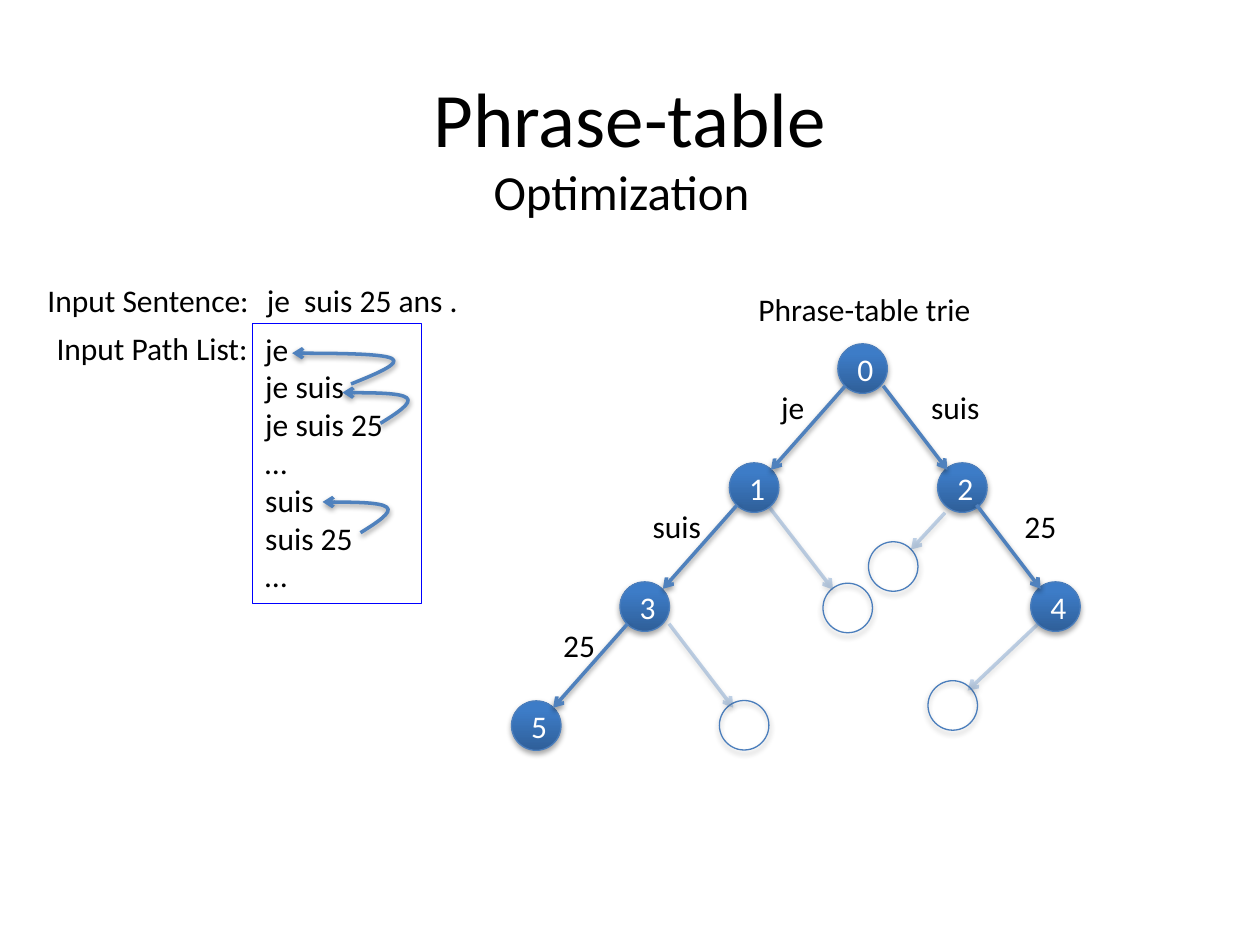
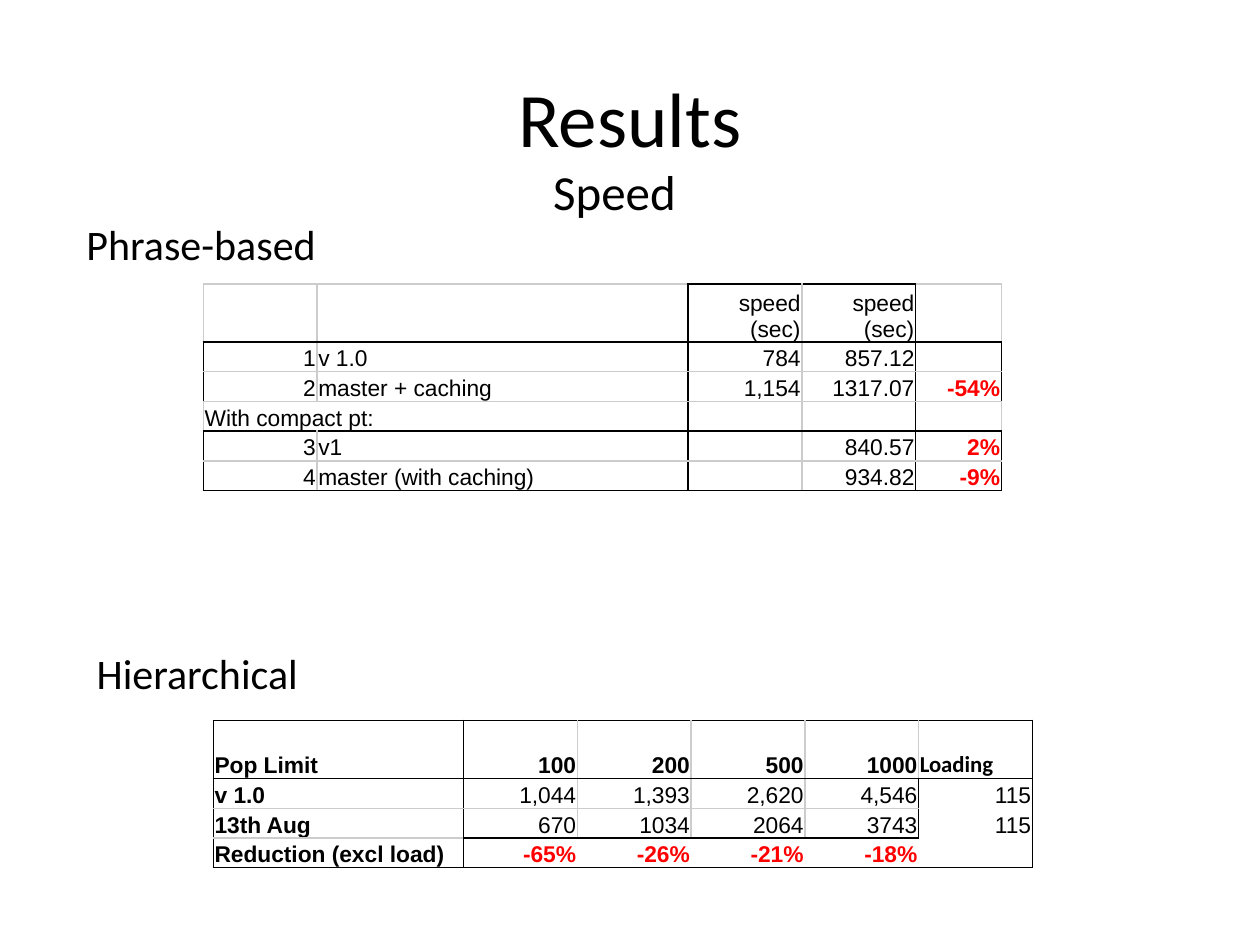
from lxml.etree import SubElement
from pptx import Presentation
from pptx.dml.color import RGBColor
from pptx.enum.shapes import MSO_CONNECTOR, MSO_SHAPE
from pptx.enum.text import MSO_ANCHOR, MSO_AUTO_SIZE, PP_ALIGN
from pptx.oxml.ns import qn
from pptx.util import Pt

COLORS = {
    "text": "000000", "white": "FFFFFF", "red": "FF0000", "grid": "CCCCCC",
    "frame": "0000FF", "arrow": "4F81BD", "node_line": "4B7EBC",
    "node_dark": "2F5F99", "node_light": "3D7CC7",
}
BODY_FONT = "Calibri"
TABLE_FONT = "Arial"
NODE_SIZE = 28.3
LEVEL_HEIGHT = 68
TITLE_ONLY = 5

# Widths of the edge labels in the trie
EDGE_LABEL_WIDTHS = {"je": 28.5, "suis": 42.5, "25": 33.5}

# Horizontal and vertical table rules: K black, G grey, - none
RULE_COLORS = {"K": "text", "G": "grid"}

# Unit outline of a back-pointing curve: a start and two Bézier segments
CURVE = [(0.58, 1), (0.83, 0.67), (1.08, 0.33), (0.98, 0.17), (0.88, 0), (0, 0), (0, 0)]


def color(name):
    return RGBColor.from_string(COLORS[name])


def format_paragraph(paragraph, size, name="text", font=BODY_FONT, bold=False,
                     align=PP_ALIGN.LEFT):
    paragraph.alignment = align
    paragraph.font.size = Pt(size)
    paragraph.font.name = font
    paragraph.font.bold = bold
    paragraph.font.color.rgb = color(name)


def add_label(slide, text, left, top, width, size=18):
    height = size * 1.2 + 7.2
    box = slide.shapes.add_textbox(Pt(left), Pt(top), Pt(width), Pt(height))
    frame = box.text_frame
    frame.word_wrap = False
    frame.auto_size = MSO_AUTO_SIZE.SHAPE_TO_FIT_TEXT
    frame.text = text
    format_paragraph(frame.paragraphs[0], size)


def add_shadow(shape, distance, opacity):
    effects = SubElement(shape._element.spPr, qn("a:effectLst"))
    shadow = SubElement(effects, qn("a:outerShdw"), blurRad=str(Pt(3.15)),
                        dist=str(Pt(distance)), dir="5400000", rotWithShape="0")
    black = SubElement(shadow, qn("a:srgbClr"), val=COLORS["text"])
    SubElement(black, qn("a:alpha"), val=str(opacity * 1000))


def style_arrow(shape, faint=False):
    shape.line.color.rgb = color("arrow")
    shape.line.width = Pt(2)
    line = shape._element.spPr.find(qn("a:ln"))
    if faint:
        line_color = line.find(".//" + qn("a:srgbClr"))
        SubElement(line_color, qn("a:alpha"), val="34000")
    SubElement(line, qn("a:tailEnd"), type="arrow")
    add_shadow(shape, 1.57, 38)


def add_titled_slide(presentation, title, subtitle, subtitle_left, subtitle_width):
    slide = presentation.slides.add_slide(presentation.slide_layouts[TITLE_ONLY])
    shape = slide.shapes.title
    shape.left, shape.top, shape.width, shape.height = Pt(36), Pt(21.6), Pt(648), Pt(90)
    shape.text_frame.text = title
    shape.text_frame.vertical_anchor = MSO_ANCHOR.MIDDLE
    format_paragraph(shape.text_frame.paragraphs[0], 44, align=PP_ALIGN.CENTER)
    add_label(slide, subtitle, subtitle_left, 88.6, subtitle_width, 28)
    return slide


# Input sentence and its path list
def add_curved_arrow(slide, left, top, width, height=17.6):
    points = [(Pt(left + x * width), Pt(top + y * height)) for x, y in CURVE]
    builder = slide.shapes.build_freeform(*points[0])
    builder.add_line_segments(points[1:], close=False)
    shape = builder.convert_to_shape()
    # Turn each three line points into one Bézier segment
    outline = shape._element.xpath(".//a:path")[0]
    lines = outline.findall(qn("a:lnTo"))
    for start in range(0, len(lines), 3):
        segment = SubElement(outline, qn("a:cubicBezTo"))
        for line in lines[start:start + 3]:
            segment.append(line[0])
            outline.remove(line)
    shape.fill.background()
    style_arrow(shape)


def add_input_panel(slide, left, top):
    add_label(slide, "je  suis 25 ans .", left + 125.4, top, 129.6)
    add_label(slide, "Input Sentence:", left, top, 131)
    add_label(slide, "Input Path List:", left + 5.2, top + 27.5, 126)

    box_left, box_top = left + 124.5, top + 28
    box = slide.shapes.add_shape(MSO_SHAPE.RECTANGLE, Pt(box_left), Pt(box_top),
                                 Pt(96.5), Pt(160))
    box.shadow.inherit = False
    box.fill.background()
    box.line.color.rgb = color("frame")
    box.line.width = Pt(0.75)
    box.text_frame.word_wrap = True
    box.text_frame.vertical_anchor = MSO_ANCHOR.TOP
    box.text_frame.text = "\n".join(
        ["je", "je suis", "je suis 25", "…", "suis", "suis 25", "…"])
    for paragraph in box.text_frame.paragraphs:
        format_paragraph(paragraph, 18)

    for x, y, width in [(22.5, 17, 58), (51.2, 39.5, 37.4), (39.8, 102, 37.4)]:
        add_curved_arrow(slide, box_left + x, box_top + y, width)


# Phrase-table trie
def add_node(slide, left, top, text=""):
    node = slide.shapes.add_shape(MSO_SHAPE.OVAL, Pt(left), Pt(top),
                                  Pt(NODE_SIZE), Pt(NODE_SIZE))
    if text:
        node.fill.gradient()
        node.fill.gradient_angle = 90
        stops = zip(node.fill.gradient_stops, ("node_dark", "node_light"), (0, 0.8))
        for stop, name, position in stops:
            stop.color.rgb = color(name)
            stop.position = position
        node.text_frame.text = text
        node.text_frame.vertical_anchor = MSO_ANCHOR.MIDDLE
        format_paragraph(node.text_frame.paragraphs[0], 18, "white", align=PP_ALIGN.CENTER)
    else:
        node.fill.background()
    node.line.color.rgb = color("node_line")
    node.line.width = Pt(0.75)
    add_shadow(node, 1.81, 35)


def add_edge(slide, left, top, run, rise, faint=False):
    edge = slide.shapes.add_connector(MSO_CONNECTOR.STRAIGHT, Pt(left), Pt(top),
                                      Pt(left + run), Pt(top + rise))
    style_arrow(edge, faint)


def add_trie(slide, left, top):
    add_label(slide, "Phrase-table trie", left + 134, top, 137.5)
    first_level = top + 34.5
    # Named nodes: text, x, level
    for text, x, level in [("0", 186.5, 0), ("1", 124.5, 1), ("2", 243.5, 1),
                           ("3", 62, 2), ("4", 296.7, 2), ("5", 0, 3)]:
        add_node(slide, left + x, first_level + level * LEVEL_HEIGHT, text)
    # Unvisited nodes: x, y
    for x, y in [(178, 171.3), (238, 227), (204, 147.6), (118.8, 238.3)]:
        add_node(slide, left + x, top + y)

    # Edges: x, level of the parent, run, label, label x
    left_run, right_run = -42.5, 36.7
    for x, level, run, text, label_x in [
            (190.8, 0, left_run, "je", 147), (212.4, 0, right_run, "suis", 232.7),
            (129, 1, left_run, "suis", 73.5), (265.7, 1, right_run, "25", 286),
            (66.3, 2, left_run, "25", 22.5)]:
        level_top = first_level + level * LEVEL_HEIGHT
        add_edge(slide, left + x, level_top + 24, run, 48)
        add_label(slide, text, left + label_x, level_top + 21.7, EDGE_LABEL_WIDTHS[text])
    for x, y, run, rise in [(147, 127.4, right_run, 47.5), (90, 194.4, right_run, 48),
                            (247.7, 131, -19.4, 21), (301, 194.4, -40.3, 38.2)]:
        add_edge(slide, left + x, top + y, run, rise, faint=True)


# Result tables
def set_borders(cell, left, right, top, bottom):
    properties = cell._tc.get_or_add_tcPr()
    sides = zip(("a:lnL", "a:lnR", "a:lnT", "a:lnB"), (left, right, top, bottom))
    for index, (tag, rule) in enumerate(sides):
        line = SubElement(properties, qn(tag), w=str(Pt(1)))
        properties.insert(index, line)
        if rule in RULE_COLORS:
            fill = SubElement(line, qn("a:solidFill"))
            SubElement(fill, qn("a:srgbClr"), val=COLORS[RULE_COLORS[rule]])
        else:
            SubElement(line, qn("a:noFill"))


def add_results_table(slide, left, top, widths, rows, horizontal, vertical,
                      label_column, bold_labels=False):
    heights = [33.2] + [17] * (len(rows) - 1)
    table = slide.shapes.add_table(len(rows), len(widths), Pt(left), Pt(top),
                                   Pt(sum(widths)), Pt(sum(heights))).table
    table.first_row = table.horz_banding = False
    for column, width in zip(table.columns, widths):
        column.width = Pt(width)
    for row, height in zip(table.rows, heights):
        row.height = Pt(height)

    for r, texts in enumerate(rows):
        for c, text in enumerate(texts):
            cell = table.cell(r, c)
            cell.fill.background()
            cell.margin_left = cell.margin_right = cell.margin_top = Pt(0.75)
            cell.margin_bottom = 0
            cell.vertical_anchor = MSO_ANCHOR.BOTTOM
            cell.text_frame.text = text
            change = text.endswith("%")
            paragraph = cell.text_frame.paragraphs[0]
            format_paragraph(
                paragraph, 13, "red" if change else "text", TABLE_FONT,
                change or bold_labels and (r == 0 or c == label_column),
                PP_ALIGN.LEFT if c == label_column else PP_ALIGN.RIGHT)
            if not text:
                paragraph._p.get_or_add_endParaRPr().set("sz", "1300")
            set_borders(cell, vertical[r][c], vertical[r][c + 1],
                        horizontal[r][c], horizontal[r + 1][c])
    return table


def add_phrase_based(slide, left, top):
    add_label(slide, "Phrase-based", left, top, 147.6, 24)
    rows = [
        ["", "", "speed (sec)", "speed (sec)", ""],
        ["1", "v 1.0", "784", "857.12", ""],
        ["2", "master + caching", "1,154", "1317.07", "-54%"],
        ["With compact pt:", "", "", "", ""],
        ["3", "v1", "", "840.57", "2%"],
        ["4", "master (with caching)", "", "934.82", "-9%"],
    ]
    table = add_results_table(
        slide, left + 73.9, top + 40.9, [65, 212, 65, 65, 49], rows,
        ["GGKKG", "KKKKK", "GGGGG", "GGGGG", "KKKKK", "GGGGG", "KKKKK"],
        ["GGKGKG", "KGKGKK", "KGKGKK", "G-KGKG", "KGKGKK", "KGKGKK"],
        label_column=1)
    heading = table.cell(3, 0)
    heading.merge(table.cell(3, 1))
    heading.text_frame.paragraphs[0].alignment = PP_ALIGN.LEFT


def add_hierarchical(slide, left, top):
    add_label(slide, "Hierarchical", left, top, 131.8, 24)
    rows = [
        ["Pop Limit", "100", "200", "500", "1000", "Loading"],
        ["v 1.0", "1,044", "1,393", "2,620", "4,546", "115"],
        ["13th Aug", "670", "1034", "2064", "3743", "115"],
        ["Reduction (excl load)", "-65%", "-26%", "-21%", "-18%", ""],
    ]
    table = add_results_table(
        slide, left + 73.7, top + 45.2, [143] + [65] * 5, rows,
        ["KKKKKK", "KKKKKK", "GGGGG-", "GKKKK-", "KKKKKK"],
        ["KKGGGGK", "KKGGGKK", "KKGGGKK", "KK----K"],
        label_column=0, bold_labels=True)
    loading = table.cell(0, 5).text_frame.paragraphs[0]
    loading.alignment = PP_ALIGN.LEFT
    loading.font.name = BODY_FONT


def main():
    presentation = Presentation()
    presentation.slide_width, presentation.slide_height = Pt(720), Pt(540)

    slide = add_titled_slide(presentation, "Phrase-table", "Optimization", 275, 163.4)
    add_input_panel(slide, 20, 156.8)
    add_trie(slide, 292.3, 162)

    slide = add_titled_slide(presentation, "Results", "Speed", 309, 85.7)
    add_phrase_based(slide, 42.3, 121.3)
    add_hierarchical(slide, 48.2, 366.5)

    presentation.save("out.pptx")


if __name__ == "__main__":
    main()
